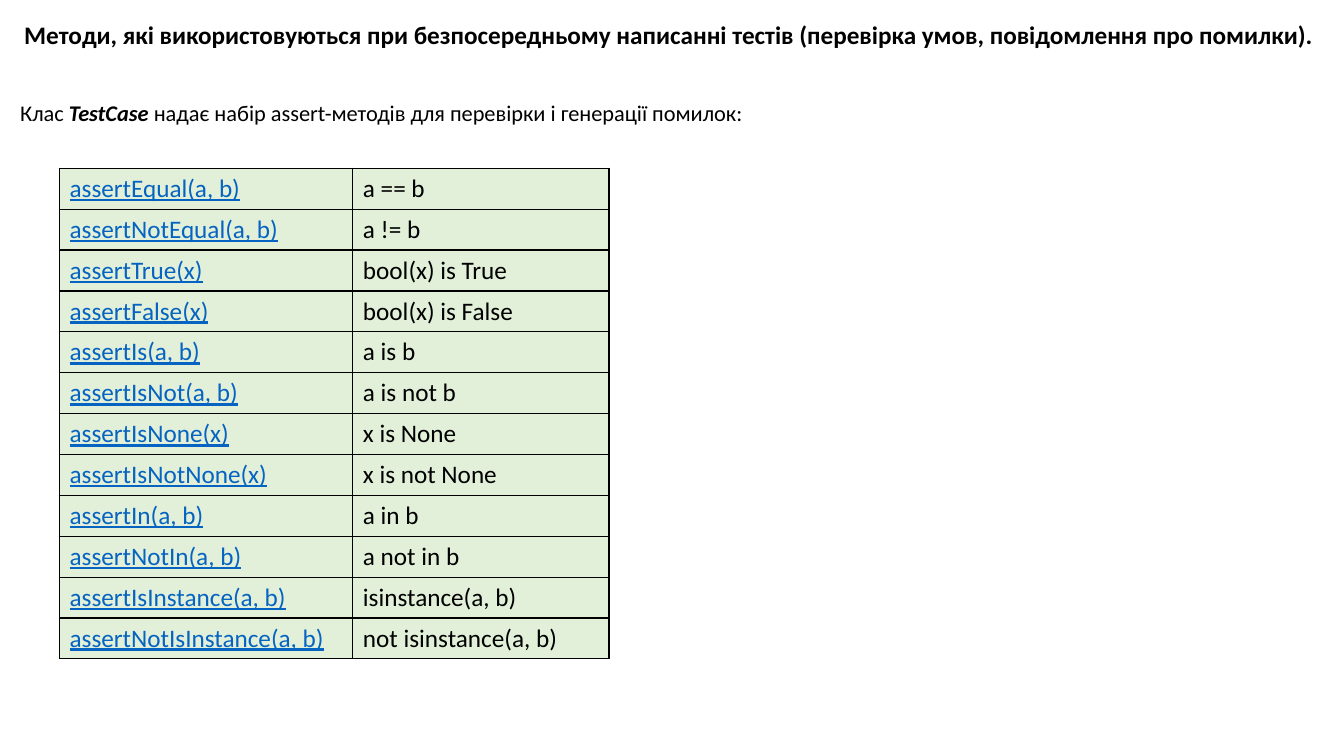
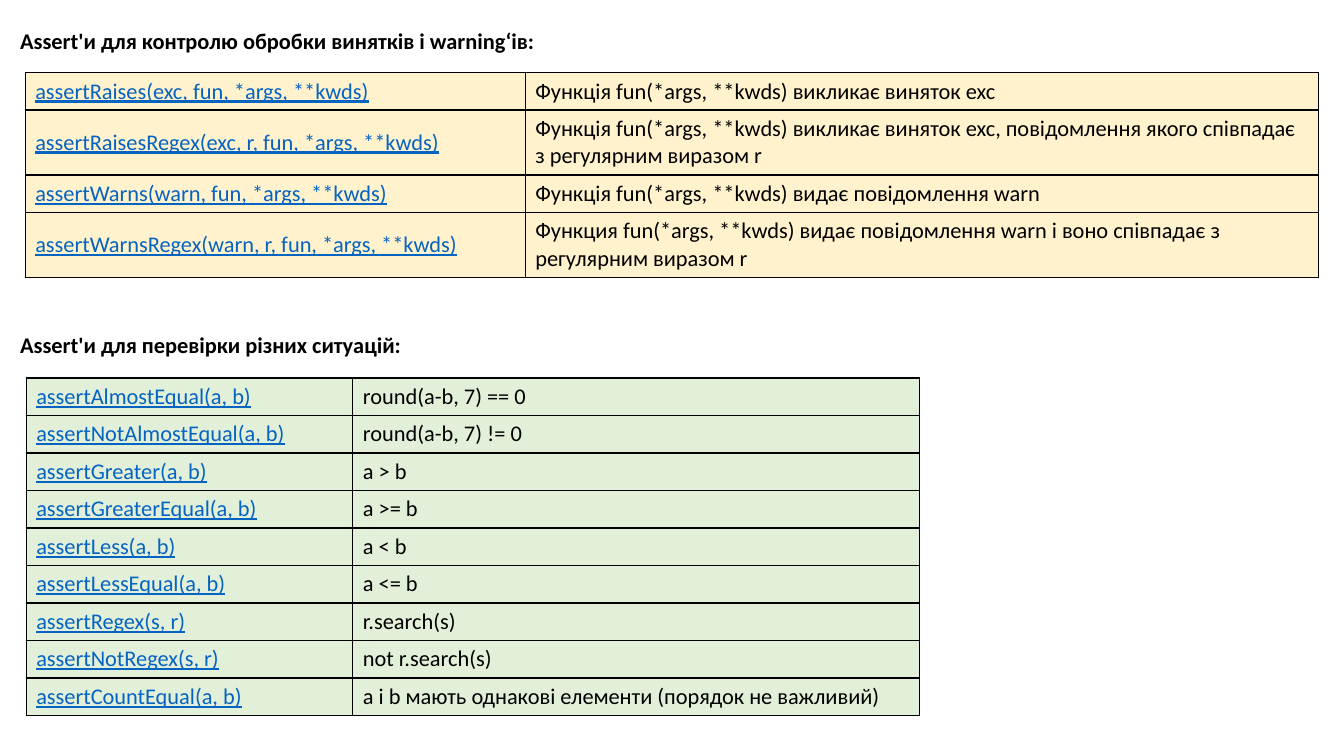
"""Build two slides that list the assert methods of TestCase."""
from pptx import Presentation
from pptx.dml.color import RGBColor as RGB
from pptx.enum.text import MSO_ANCHOR as Anchor, MSO_AUTO_SIZE as Fit, PP_ALIGN as Align
from pptx.oxml import parse_xml
from pptx.oxml.ns import nsdecls
from pptx.util import Inches, Pt

BLACK = RGB(0x00, 0x00, 0x00)
BLUE = RGB(0x05, 0x63, 0xC1)
GREEN = RGB(0xE2, 0xF0, 0xD9)
CREAM = RGB(0xFF, 0xF2, 0xCC)
FONT = "Calibri"

BASIC = [
    ("assertEqual(a, b)", "a == b"),
    ("assertNotEqual(a, b)", "a != b"),
    ("assertTrue(x)", "bool(x) is True"),
    ("assertFalse(x)", "bool(x) is False"),
    ("assertIs(a, b)", "a is b"),
    ("assertIsNot(a, b)", "a is not b"),
    ("assertIsNone(x)", "x is None"),
    ("assertIsNotNone(x)", "x is not None"),
    ("assertIn(a, b)", "a in b"),
    ("assertNotIn(a, b)", "a not in b"),
    ("assertIsInstance(a, b)", "isinstance(a, b)"),
    ("assertNotIsInstance(a, b)", "not isinstance(a, b)"),
]
ERRORS = [
    ("assertRaises(exc, fun, *args, **kwds)", "Функція fun(*args, **kwds) викликає виняток exc"),
    ("assertRaisesRegex(exc, r, fun, *args, **kwds)",
     "Функція fun(*args, **kwds) викликає виняток exc, повідомлення якого співпадає "
     "з регулярним виразом r"),
    ("assertWarns(warn, fun, *args, **kwds)",
     "Функція fun(*args, **kwds) видає повідомлення warn"),
    ("assertWarnsRegex(warn, r, fun, *args, **kwds)",
     "Функция fun(*args, **kwds) видає повідомлення warn і воно співпадає з "
     "регулярним виразом r"),
]
OTHER = [
    ("assertAlmostEqual(a, b)", "round(a-b, 7) == 0"),
    ("assertNotAlmostEqual(a, b)", "round(a-b, 7) != 0"),
    ("assertGreater(a, b)", "a > b"),
    ("assertGreaterEqual(a, b)", "a >= b"),
    ("assertLess(a, b)", "a < b"),
    ("assertLessEqual(a, b)", "a <= b"),
    ("assertRegex(s, r)", "r.search(s)"),
    ("assertNotRegex(s, r)", "not r.search(s)"),
    ("assertCountEqual(a, b)", "a і b мають однакові елементи (порядок не важливий)"),
]

SLIDES = [
    {
        "title": ("Методи, які використовуються при безпосередньому написанні тестів "
                  "(перевірка умов, повідомлення про помилки).", 0.18, 18, Align.CENTER),
        "body": ([("Клас ", False, False), ("TestCase ", True, True),
                  ("надає набір assert-методів для перевірки і генерації помилок:", False, False)],
                 0.96),
        "tables": [(BASIC, 0.59, 1.67, (2.91, 2.54), [0.4] * 12, 18, GREEN)],
    },
    {
        "title": ("Assert'и для контролю обробки винятків і warning‘ів:", 0.25, 16, Align.LEFT),
        "body": ([("Assert'и для перевірки різних ситуацій:", True, False)], 3.27),
        "tables": [
            (ERRORS, 0.25, 0.72, (4.96, 7.87), [0.37, 0.64] * 2, 16, CREAM),
            (OTHER, 0.26, 3.75, (3.24, 5.62), [0.37] * 9, 16, GREEN),
        ],
    },
]


def style(run, size, color=BLACK, bold=False, italic=False, line=False):
    font = run.font
    font.name, font.size = FONT, Pt(size)
    font.bold, font.italic, font.underline = bold, italic, line
    font.color.rgb = color


def fill_text(shape, top, runs, size, align):
    shape.left, shape.top = Inches(0.1), Inches(top)
    shape.width, shape.height = Inches(13.07), Inches(0.4)
    frame = shape.text_frame
    frame.word_wrap, frame.auto_size = True, Fit.NONE
    frame.vertical_anchor = Anchor.TOP
    para = frame.paragraphs[0]
    para.alignment, para.line_spacing, para.space_before = align, 0.9, Pt(0)
    props = para._p.get_or_add_pPr()
    props.set("marL", "0")
    props.set("indent", "0")
    props.append(parse_xml(f"<a:buNone {nsdecls('a')}/>"))
    for text, bold, italic in runs:
        run = para.add_run()
        run.text = text
        style(run, size, bold=bold, italic=italic)


def add_edges(cell):
    props = cell._tc.get_or_add_tcPr()
    for side in "LRTB":
        props.append(parse_xml(
            f'<a:ln{side} {nsdecls("a")} w="{Pt(1)}"><a:solidFill>'
            f'<a:srgbClr val="{BLACK}"/></a:solidFill></a:ln{side}>'))


def add_grid(slide, data, left, top, widths, heights, size, fill):
    table = slide.shapes.add_table(
        len(data), len(widths), Inches(left), Inches(top),
        Inches(sum(widths)), Inches(sum(heights))).table
    table.first_row = table.horz_banding = False
    for col, width in zip(table.columns, widths):
        col.width = Inches(width)
    for row, height, texts in zip(table.rows, heights, data):
        row.height = Inches(height)
        for cell, text, color in zip(row.cells, texts, (BLUE, BLACK)):
            cell.text_frame.text = text
            cell.vertical_anchor = Anchor.MIDDLE
            style(cell.text_frame.paragraphs[0].runs[0], size, color, line=color == BLUE)
            add_edges(cell)
            cell.fill.solid()
            cell.fill.fore_color.rgb = fill


def main():
    deck = Presentation()
    deck.slide_width, deck.slide_height = Inches(13.33), Inches(7.5)
    for page in SLIDES:
        slide = deck.slides.add_slide(deck.slide_layouts[1])
        title, top, size, align = page["title"]
        fill_text(slide.shapes.title, top, [(title, True, False)], size, align)
        runs, top = page["body"]
        fill_text(slide.placeholders[1], top, runs, 16, Align.LEFT)
        for grid in page["tables"]:
            add_grid(slide, *grid)
    deck.save("out.pptx")


if __name__ == "__main__":
    main()
